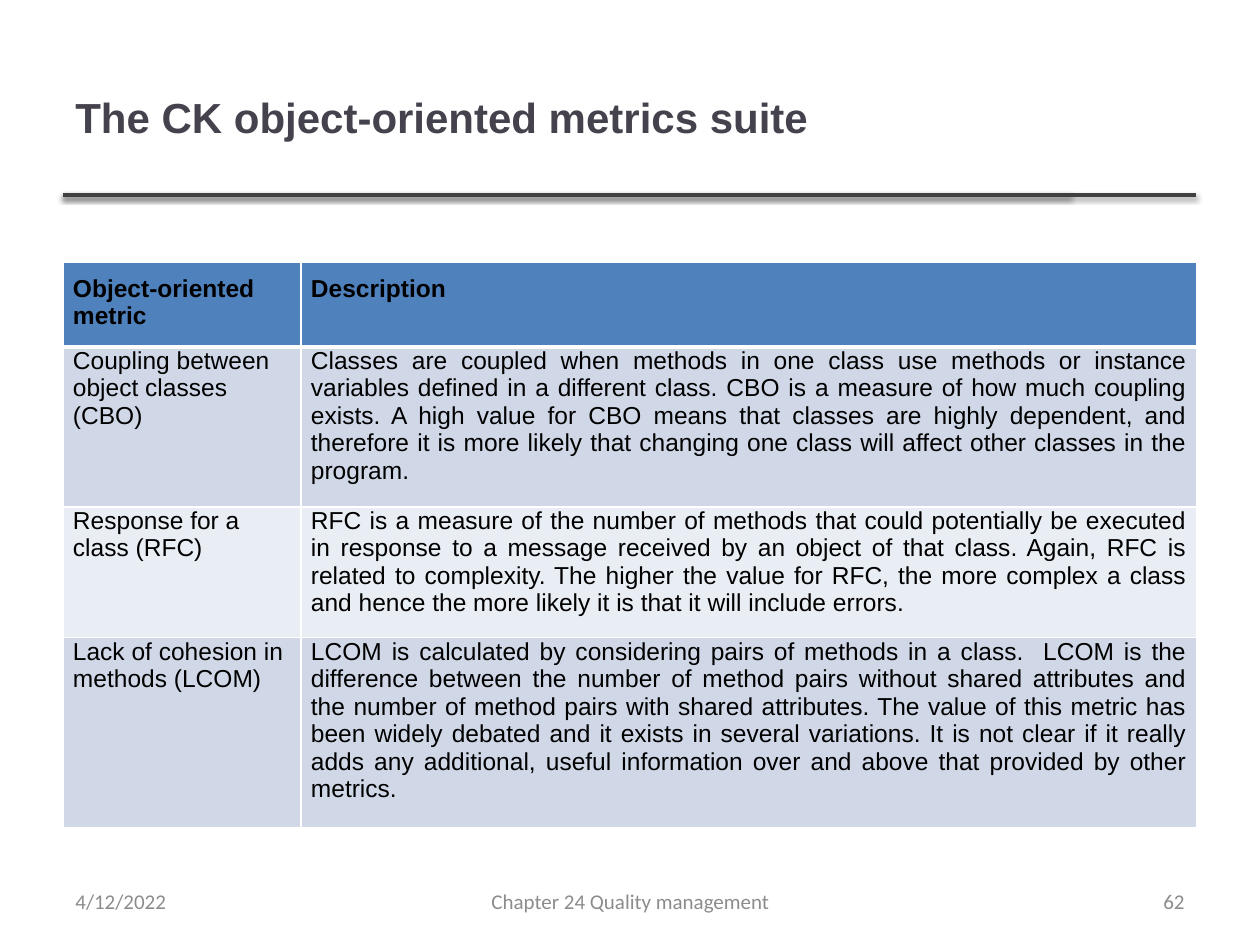
"""Build the slide about the CK object-oriented metrics suite."""
import lxml.etree
import pptx
import pptx.dml.color
import pptx.enum.shapes
import pptx.enum.text
import pptx.oxml
import pptx.oxml.ns
import pptx.util
from dataclasses import dataclass

ALIGN = pptx.enum.text.PP_ALIGN
ANCHOR = pptx.enum.text.MSO_ANCHOR


@dataclass(frozen=True)
class Theme:
    """Colours, fonts and type sizes."""
    title: str = "46424D"
    ink: str = "000000"
    muted: str = "8C8C8C"
    rule: str = "404040"
    border: str = "FFFFFF"
    header: str = "4F81BD"
    bands: tuple = ("D0D8E8", "E9EDF4")
    font: str = "Arial"
    footer_font: str = "Calibri"
    title_size: int = 24
    table_size: int = 14
    footer_size: int = 12


THEME = Theme()
TITLE = "The CK object-oriented metrics suite"
TITLE_BOX = (63, 38, 1006, 157)
RULE_LEFT, RULE_TOP, RULE_ENDS = 63, 195, (1070, 1196)
TABLE_LEFT, TABLE_TOP = 63, 262
COLUMN_WIDTHS = (238, 896)
ROW_HEIGHTS = (80, 150, 123, 178)
ROWS = [
    ("Object-oriented metric", "Description"),
    ("Coupling between object classes (CBO)",
     "Classes are coupled when methods in one class use methods or instance variables "
     "defined in a different class. CBO is a measure of how much coupling exists. A high "
     "value for CBO means that classes are highly dependent, and therefore it is more likely "
     "that changing one class will affect other classes in the program."),
    ("Response for a class (RFC)",
     "RFC is a measure of the number of methods that could potentially be executed in "
     "response to a message received by an object of that class. Again, RFC is related to "
     "complexity. The higher the value for RFC, the more complex a class and hence the more "
     "likely it is that it will include errors."),
    ("Lack of cohesion in methods (LCOM)",
     "LCOM is calculated by considering pairs of methods in a class.  LCOM is the difference "
     "between the number of method pairs without shared attributes and the number of method "
     "pairs with shared attributes. The value of this metric has been widely debated and it "
     "exists in several variations. It is not clear if it really adds any additional, useful "
     "information over and above that provided by other metrics."),
]
FOOTER_TOP, FOOTER_HEIGHT = 876, 50
FOOTERS = [
    ("Chapter 24 Quality management", 431, 399, ALIGN.CENTER),
    ("62", 903, 294, ALIGN.RIGHT),
    ("4/12/2022", 63, 294, ALIGN.LEFT),
]
SHADOW = """<a:effectLst xmlns:a="http://schemas.openxmlformats.org/drawingml/2006/main">
<a:outerShdw blurRad="39370" dist="20320" dir="5400000" rotWithShape="0">
<a:srgbClr val="000000"><a:alpha val="38000"/></a:srgbClr></a:outerShdw></a:effectLst>"""


def px(length):
    """Turn picture pixels into EMU."""
    return round(length * 914400 / 126)


def colour(code):
    """Give the colour for a hex code."""
    return pptx.dml.color.RGBColor.from_string(code)


def write(frame, text, size, ink, font=THEME.font, bold=False, align=ALIGN.LEFT):
    """Put one formatted paragraph into a text frame."""
    frame.word_wrap = True
    para = frame.paragraphs[0]
    para.alignment = align
    span = para.add_run()
    span.text = text
    span.font.size = pptx.util.Pt(size)
    span.font.name = font
    span.font.bold = bold
    span.font.color.rgb = colour(ink)


def add_text(page, place, text, **style):
    """Add a vertically centred text box."""
    box = page.shapes.add_textbox(*map(px, place))
    box.text_frame.vertical_anchor = ANCHOR.MIDDLE
    write(box.text_frame, text, **style)


def add_rule(page, end):
    """Add a shadowed line under the title."""
    rule = page.shapes.add_connector(
        pptx.enum.shapes.MSO_CONNECTOR.STRAIGHT,
        px(RULE_LEFT), px(RULE_TOP), px(end), px(RULE_TOP))
    rule.line.color.rgb = colour(THEME.rule)
    rule.line.width = pptx.util.Pt(2)
    rule._element.spPr.append(pptx.oxml.parse_xml(SHADOW))


def add_borders(cell, bottom):
    """Draw the four cell borders, with the bottom width in points."""
    properties = cell._tc.get_or_add_tcPr()
    for side, width in (("L", 1), ("R", 1), ("T", 1), ("B", bottom)):
        line = lxml.etree.SubElement(properties, pptx.oxml.ns.qn("a:ln" + side),
                                     w=str(pptx.util.Pt(width)))
        fill = lxml.etree.SubElement(line, pptx.oxml.ns.qn("a:solidFill"))
        lxml.etree.SubElement(fill, pptx.oxml.ns.qn("a:srgbClr"), val=THEME.border)


def add_metrics(page):
    """Add the table of metrics."""
    table = page.shapes.add_table(
        len(ROWS), len(COLUMN_WIDTHS), px(TABLE_LEFT), px(TABLE_TOP),
        px(sum(COLUMN_WIDTHS)), px(sum(ROW_HEIGHTS))).table
    for column, width in zip(table.columns, COLUMN_WIDTHS):
        column.width = px(width)
    for index, (row, height, texts) in enumerate(zip(table.rows, ROW_HEIGHTS, ROWS)):
        row.height = px(height)
        is_header = index == 0
        fill = THEME.header if is_header else THEME.bands[(index - 1) % 2]
        for position, (cell, text) in enumerate(zip(row.cells, texts)):
            add_borders(cell, bottom=3 if is_header else 1)
            cell.fill.solid()
            cell.fill.fore_color.rgb = colour(fill)
            cell.margin_left = cell.margin_right = px(10)
            cell.margin_top = px(13 if is_header else 0)
            cell.margin_bottom = px(13)
            justified = is_header or position == 1
            write(cell.text_frame, text, size=THEME.table_size, ink=THEME.ink,
                  bold=is_header, align=ALIGN.JUSTIFY if justified else ALIGN.LEFT)


deck = pptx.Presentation()
deck.slide_width, deck.slide_height = px(1260), px(945)
page = deck.slides.add_slide(deck.slide_layouts[6])
for rule_end in RULE_ENDS:
    add_rule(page, rule_end)
add_text(page, TITLE_BOX, TITLE, size=THEME.title_size, ink=THEME.title, bold=True)
add_metrics(page)
for text, left, width, align in FOOTERS:
    add_text(page, (left, FOOTER_TOP, width, FOOTER_HEIGHT), text, size=THEME.footer_size,
             ink=THEME.muted, font=THEME.footer_font, align=align)
deck.save("out.pptx")
